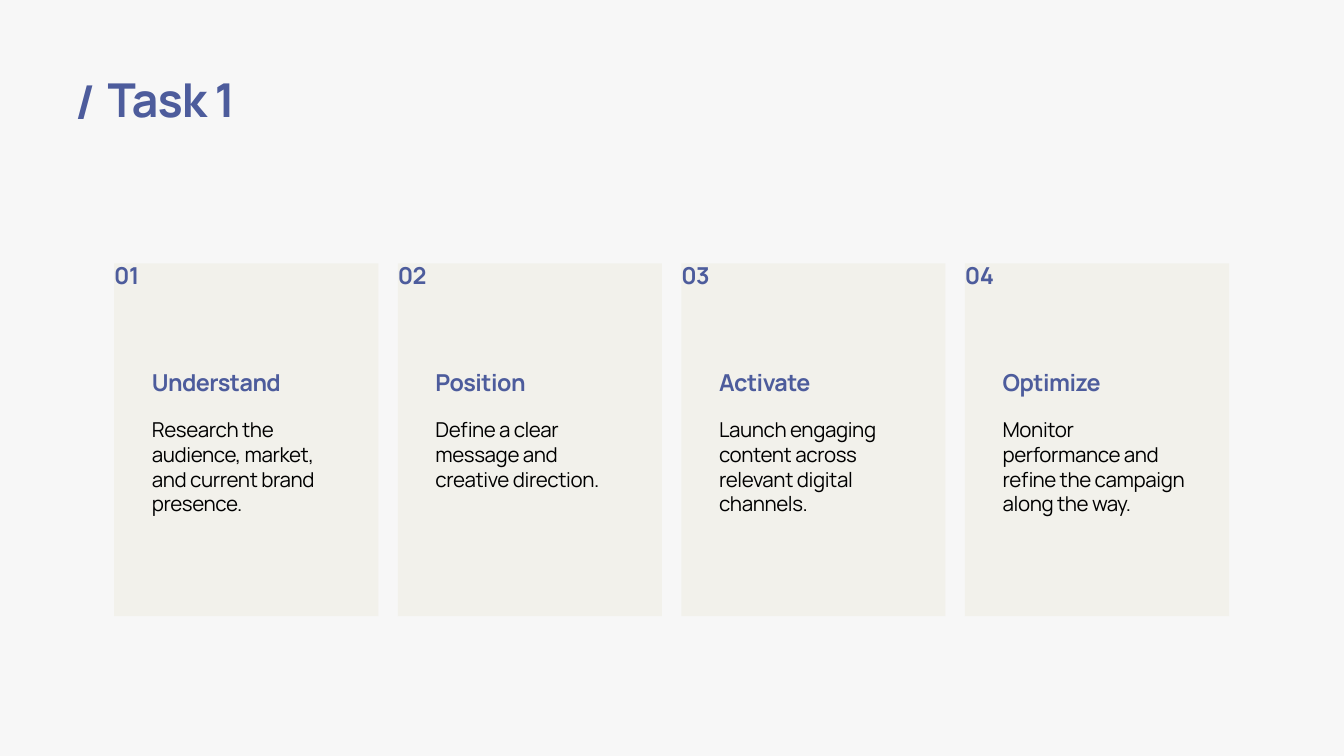
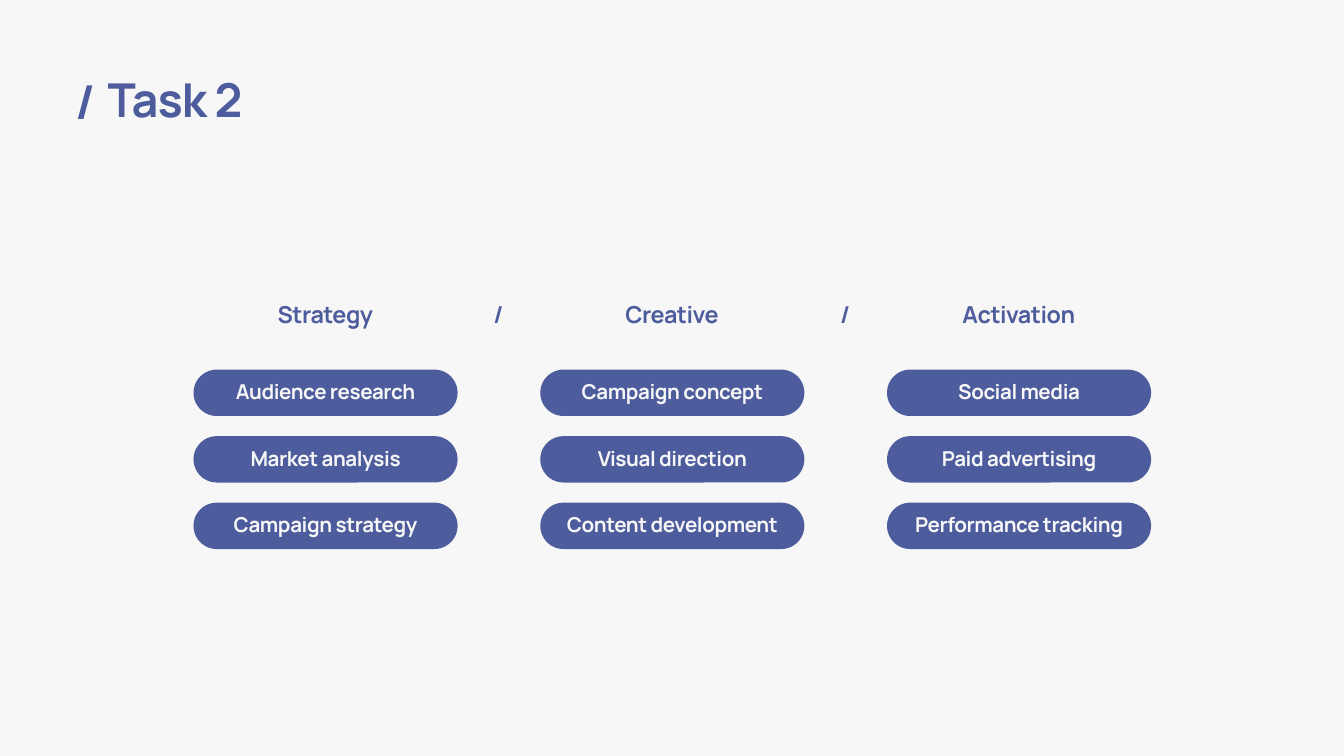
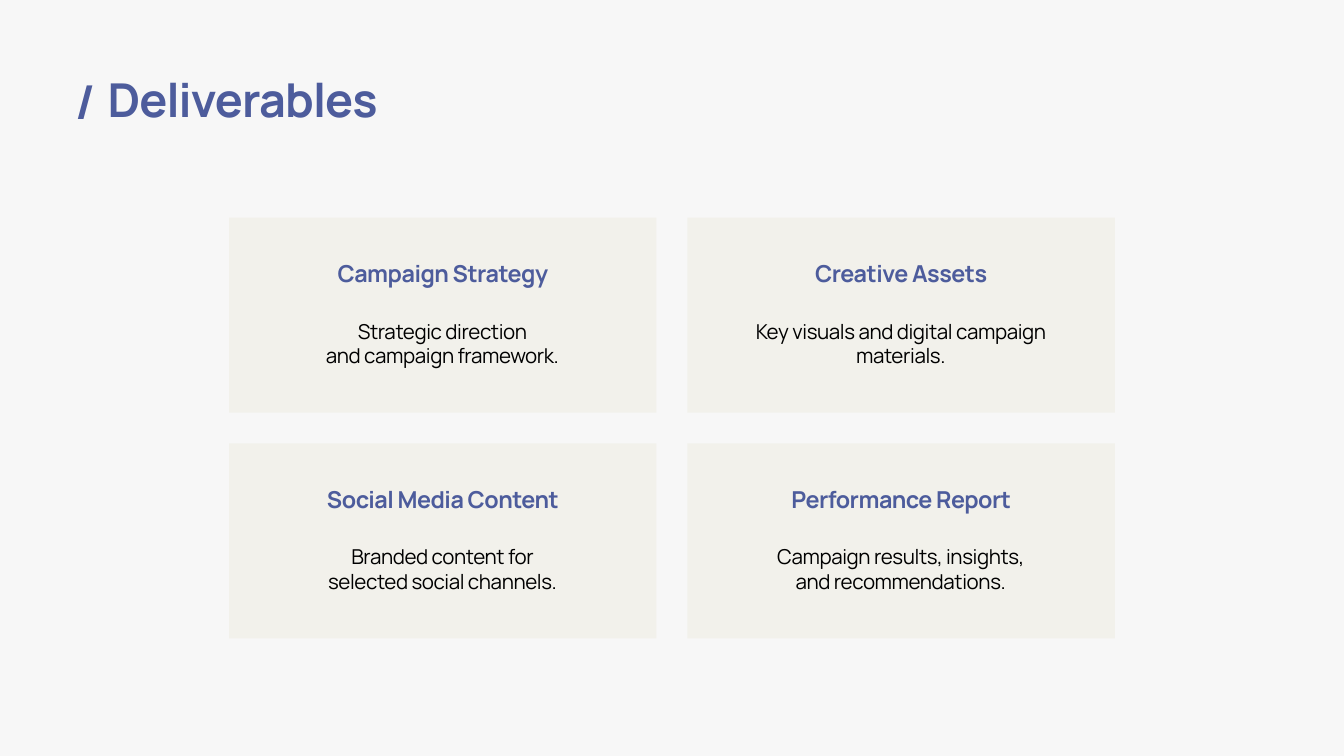
from dataclasses import dataclass

from pptx import Presentation
from pptx.dml.color import RGBColor
from pptx.enum.shapes import MSO_SHAPE
from pptx.enum.text import MSO_ANCHOR, MSO_AUTO_SIZE, PP_ALIGN
from pptx.util import Inches, Pt


@dataclass(frozen=True)
class Theme:
    font = "Manrope"
    paper = RGBColor(0xF7, 0xF7, 0xF7)
    card = RGBColor(0xF2, 0xF1, 0xEB)
    accent = RGBColor(0x4D, 0x5C, 0x9C)
    ink = RGBColor(0, 0, 0)
    # size, line spacing, letter spacing (points), bold, colour
    title = (50, 50, -1, True, accent)
    slash = (50, 60, -1, True, accent)
    heading = (25, 30, -0.5, True, accent)
    body = (22, 26.4, -0.4, False, ink)
    pill = (22, 26.4, -0.4, True, paper)


theme = Theme()


def write(shape, box, text, style, align=PP_ALIGN.LEFT, anchor=MSO_ANCHOR.TOP):
    """Place a shape at box (inches) and fill it with one paragraph per line of text."""
    shape.left, shape.top, shape.width, shape.height = map(Inches, box)
    size, leading, tracking, bold, color = style
    tf = shape.text_frame
    frame_format = {
        "margin_left": 0, "margin_right": 0, "margin_top": 0, "margin_bottom": 0,
        "word_wrap": True, "auto_size": MSO_AUTO_SIZE.NONE, "vertical_anchor": anchor,
    }
    for name, value in frame_format.items():
        setattr(tf, name, value)
    tf.text = text
    for p in tf.paragraphs:
        p.alignment = align
        p.line_spacing = Pt(leading)
        for r in p.runs:
            for name, value in {"name": theme.font, "size": Pt(size), "bold": bold}.items():
                setattr(r.font, name, value)
            r.font.color.rgb = color
            r._r.get_or_add_rPr().set("spc", str(round(tracking * 100)))


def add_panel(s, kind, box, color):
    sp = s.shapes.add_shape(kind, *map(Inches, box))
    sp.shadow.inherit = False
    sp.fill.solid()
    sp.fill.fore_color.rgb = color
    sp.line.fill.background()
    return sp


prs = Presentation()
prs.slide_width, prs.slide_height = Inches(20), Inches(11.25)
background = prs.slide_master.background.fill
background.solid()
background.fore_color.rgb = theme.paper

slides = []
for title in ("Task 1", "Task 2", "Deliverables"):
    s = prs.slides.add_slide(prs.slide_layouts[5])
    write(s.shapes.title, (1.6, 1.19, 4.64, 0.76), title, theme.title)
    write(s.shapes.add_textbox(0, 0, 0, 0), (1.12, 1.08, 0.47, 0.86), "/", theme.slash)
    slides.append(s)
task_1, task_2, deliverables = slides

# Task 1: four step cards in a row
steps = [
    ("Understand", "Research the audience, market, and current brand presence."),
    ("Position", "Define a clear message and creative direction."),
    ("Activate", "Launch engaging content across relevant digital channels."),
    ("Optimize", "Monitor performance and refine the campaign along the way."),
]
for i, (heading, body) in enumerate(steps):
    x = 1.7 + i * 4.22
    add_panel(task_1, MSO_SHAPE.RECTANGLE, (x, 3.92, 3.93, 5.25), theme.card)
    for box, text, style in (
        ((x, 3.89, 0.74, 0.45), f"{i + 1:02}", theme.heading),
        ((x + 0.56, 5.48, 2.58, 0.45), heading, theme.heading),
        ((x + 0.56, 6.21, 2.8, 1.84), body, theme.body),
    ):
        write(task_1.shapes.add_textbox(0, 0, 0, 0), box, text, style)

# Task 2: three columns of pills, with a slash between the headings
workstreams = {
    "Strategy": ("Audience research", "Market analysis", "Campaign strategy"),
    "Creative": ("Campaign concept", "Visual direction", "Content development"),
    "Activation": ("Social media", "Paid advertising", "Performance tracking"),
}
for col, (heading, activities) in enumerate(workstreams.items()):
    x = 2.88 + col * 5.16
    labels = [((x + 0.67, 4.46, 2.58, 0.45), heading)]
    if col:
        labels.append(((x - 0.92, 4.46, 0.59, 0.45), "/"))
    for box, text in labels:
        write(task_2.shapes.add_textbox(0, 0, 0, 0), box, text, theme.heading, PP_ALIGN.CENTER)
    for row, activity in enumerate(activities):
        box = (x, 5.5 + row * 0.99, 3.93, 0.69)
        pill = add_panel(task_2, MSO_SHAPE.ROUNDED_RECTANGLE, box, theme.accent)
        pill.adjustments[0] = 0.5
        write(pill, box, activity, theme.pill, PP_ALIGN.CENTER, MSO_ANCHOR.MIDDLE)
        pill.text_frame.margin_bottom = Inches(0.04)

# Deliverables: two by two cards
outputs = [
    ("Campaign Strategy", "Strategic direction\nand campaign framework."),
    ("Creative Assets", "Key visuals and digital campaign materials."),
    ("Social Media Content", "Branded content for\nselected social channels."),
    ("Performance Report", "Campaign results, insights,\nand recommendations."),
]
for i, (heading, body) in enumerate(outputs):
    row, col = divmod(i, 2)
    x, y = 3.41 + col * 6.82, 3.24 + row * 3.36
    add_panel(deliverables, MSO_SHAPE.RECTANGLE, (x, y, 6.36, 2.9), theme.card)
    for box, text, style in (
        ((x + 0.99, y + 0.62, 4.38, 0.45), heading, theme.heading),
        ((x + 0.79, y + 1.5, 4.77, 0.75), body, theme.body),
    ):
        write(deliverables.shapes.add_textbox(0, 0, 0, 0), box, text, style, PP_ALIGN.CENTER)

prs.save("out.pptx")
